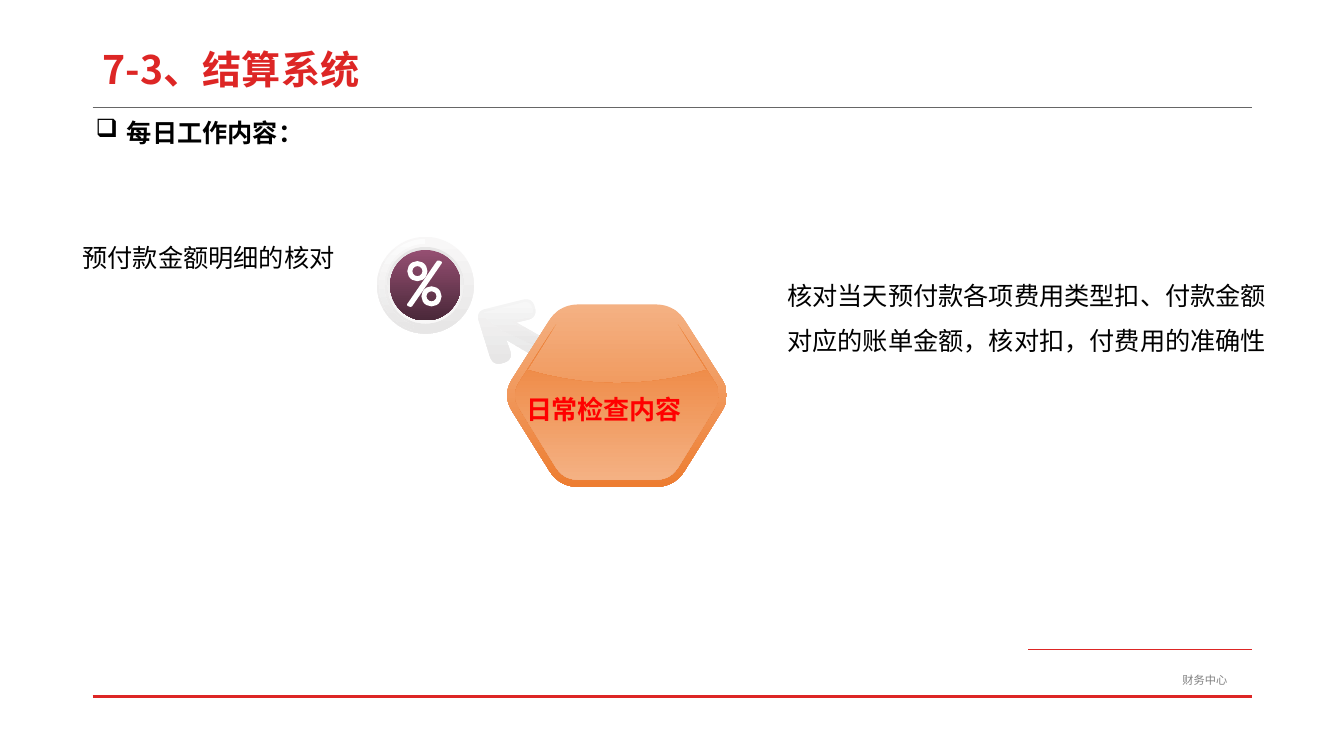
from math import cos, hypot, radians, sin

from lxml.etree import SubElement
from pptx import Presentation
from pptx.dml.color import RGBColor
from pptx.enum.shapes import MSO_CONNECTOR, MSO_SHAPE
from pptx.enum.text import MSO_ANCHOR
from pptx.oxml.ns import qn
from pptx.util import Inches, Pt

# Content: text, box (left, top, width, height), format
CJK = "Noto Sans CJK SC"
TITLE = ("7-3、结算系统", (0.92, 0.4, 11.5, 0.62),
         dict(size=28, color="DD2625", bold=True, spacing=0.9))
LABELS = [
    ("财务中心", (11.63, 6.63, 1.14, 0.24), dict(size=8, color="808080")),
    ("每日工作内容：", (0.85, 1.02, 11.64, 0.49),
     dict(size=18, bold=True, spacing=1.3, after=6, bullet="❑")),
    ("日常检查内容", (5.12, 3.56, 2.03, 0.46),
     dict(size=32, color="FF0000", bold=True, font="Arial", baseline=-25000)),
    ("预付款金额明细的核对", (0.72, 2.35, 3.07, 0.4), dict(size=18)),
    ("核对当天预付款各项费用类型扣、付款金额对应的账单金额，核对扣，付费用的准确性",
     (7.71, 2.58, 5.17, 1.01), dict(size=18, spacing=1.5)),
]
LEFT, RIGHT = 0.92, 12.42
RULES = [(LEFT, 1.07, "666666", 0.75), (10.2, 6.44, "DD2625", 0.5),
         (LEFT, 6.91, "DD2625", 1.5)]  # start, height, colour, width

# Outlines: corners as (x, y, rounding)
ARROW = [(4.72, 3.09, 0.1), (4.89, 3.63, 0.1), (5.09, 3.57, 0.1),
         (5.02, 3.37, 0), (5.46, 3.63, 0.1), (5.56, 3.45, 0.1),
         (5.12, 3.2, 0), (5.33, 3.15, 0.1), (5.28, 2.95, 0.1)]
ARROW_SHINE = [(4.76, 3.11, 0.06), (4.98, 3.28, 0), (5.35, 3.45, 0),
               (5.39, 3.38, 0), (5.06, 3.19, 0), (5.3, 3.13, 0.08),
               (5.26, 2.98, 0.08)]
HEXAGON = [(5.55, 3.02, 0.19), (6.69, 3.02, 0.19), (7.26, 3.92, 0.19),
           (6.69, 4.83, 0.19), (5.55, 4.83, 0.19), (4.98, 3.92, 0.19)]
HEXAGON_FACE = [(6.72, 3.21, 0), (7.01, 3.67, 0), (6.12, 3.93, 0.92),
                (5.23, 3.67, 0), (5.52, 3.21, 0), (5.07, 3.92, 0.15),
                (5.59, 4.76, 0.15), (6.65, 4.76, 0.15), (7.17, 3.92, 0.15)]
SLASH = [(4.34, 2.58, 0.02), (4.39, 2.6, 0.02),
         (4.08, 3.05, 0.02), (4.03, 3.03, 0.02)]
BADGE = (4.22, 2.83)
DISCS = [(0.48, ("F8F7F7", "E7E6E6")), (0.38, ("E7E6E6", "F8F7F7")),
         (0.35, ("954F72", "4A2839"))]
RINGS = [(4.14, 2.69), (4.28, 2.94)]


def rgb(value):
    return RGBColor.from_string(value)


def paint(s, colors):
    """One colour fills solid; two run from top to bottom."""
    s.shadow.inherit = False
    s.line.fill.background()
    if isinstance(colors, str):
        s.fill.solid()
        s.fill.fore_color.rgb = rgb(colors)
        return
    s.fill.gradient()
    s.fill.gradient_angle = 270
    for stop, color in zip(s.fill.gradient_stops, colors):
        stop.color.rgb = rgb(color)


def outline(parent, points, colors):
    points = [(Inches(x), Inches(y)) for x, y in points]
    builder = parent.shapes.build_freeform(*points[0])
    builder.add_line_segments(points[1:], close=True)
    paint(builder.convert_to_shape(), colors)


def rounded(corners, steps=10):
    """Replace each rounded corner by points on a quadratic curve."""
    points = []
    for i, (x, y, cut) in enumerate(corners):
        if not cut:
            points.append((x, y))
            continue
        ends = []
        for nx, ny, _ in (corners[i - 1], corners[(i + 1) % len(corners)]):
            share = cut / hypot(nx - x, ny - y)
            ends.append((x + (nx - x) * share, y + (ny - y) * share))
        (ax, ay), (bx, by) = ends
        for t in (k / steps for k in range(steps + 1)):
            a, c, b = (1 - t) ** 2, 2 * t * (1 - t), t * t
            points.append((a * ax + c * x + b * bx, a * ay + c * y + b * by))
    return points


def round_shape(parent, kind, center, radius, colors):
    box = (center[0] - radius, center[1] - radius, 2 * radius, 2 * radius)
    s = parent.shapes.add_shape(kind, *map(Inches, box))
    paint(s, colors)
    return s


def arc(radius, angles):
    return [(BADGE[0] + radius * cos(radians(a)),
             BADGE[1] + radius * sin(radians(a))) for a in angles]


def write(s, text, size, color="000000", bold=False, font=CJK, spacing=None,
          after=0, bullet=None, baseline=None):
    tf = s.text_frame
    tf.word_wrap = True
    p = tf.paragraphs[0]
    if bullet:
        pPr = p._p.get_or_add_pPr()
        pPr.set("marL", str(Inches(0.31)))
        pPr.set("indent", str(Inches(-0.31)))
        SubElement(pPr, qn("a:buChar")).set("char", bullet)
    for name, value in dict(line_spacing=spacing, space_before=Pt(0),
                            space_after=Pt(after)).items():
        setattr(p, name, value)
    r = p.add_run()
    r.text = text
    for name, value in dict(size=Pt(size), bold=bold, name=font).items():
        setattr(r.font, name, value)
    r.font.color.rgb = rgb(color)
    rPr = r._r.get_or_add_rPr()
    SubElement(rPr, qn("a:ea")).set("typeface", font)
    if baseline:
        rPr.set("baseline", str(baseline))


def main():
    prs = Presentation()
    prs.slide_width, prs.slide_height = Inches(13.33), Inches(7.5)
    slide = prs.slides.add_slide(prs.slide_layouts[5])

    # Rules
    for x, y, color, width in RULES:
        s = slide.shapes.add_connector(
            MSO_CONNECTOR.STRAIGHT, *map(Inches, (x, y, RIGHT, y)))
        s.line.color.rgb = rgb(color)
        s.line.width = Pt(width)
        SubElement(s._element.spPr, qn("a:effectLst"))

    # Title
    text, box, style = TITLE
    s = slide.shapes.title
    s.left, s.top, s.width, s.height = map(Inches, box)
    s.text_frame.vertical_anchor = MSO_ANCHOR.MIDDLE
    write(s, text, **style)
    s.text_frame.paragraphs[0].alignment = 1

    # Arrow and hexagon
    for layers in (((ARROW, ("F4F4F4", "E7E6E6")),
                    (ARROW_SHINE, ("F7F7F7", "E7E6E6"))),
                   ((HEXAGON, ("F4B183", "ED7D31")),
                    (HEXAGON_FACE, ("ED7D31", "F4B183")))):
        group = slide.shapes.add_group_shape()
        for corners, colors in layers:
            outline(group, rounded(corners), colors)

    # Percent badge
    badge = slide.shapes.add_group_shape()
    for radius, colors in DISCS:
        round_shape(badge, MSO_SHAPE.OVAL, BADGE, radius, colors)
    sweep = range(106, 271, 4)
    outline(badge, arc(0.46, sweep) + arc(0.41, reversed(sweep)),
            ("FCFCFC", "E7E6E6"))
    for center in RINGS:
        round_shape(badge, MSO_SHAPE.DONUT, center, 0.1, "FFFFFF")
    outline(badge, rounded(SLASH), "FFFFFF")

    # Labels
    for text, box, style in LABELS:
        write(slide.shapes.add_textbox(*map(Inches, box)), text, **style)

    prs.save("out.pptx")


if __name__ == "__main__":
    main()
